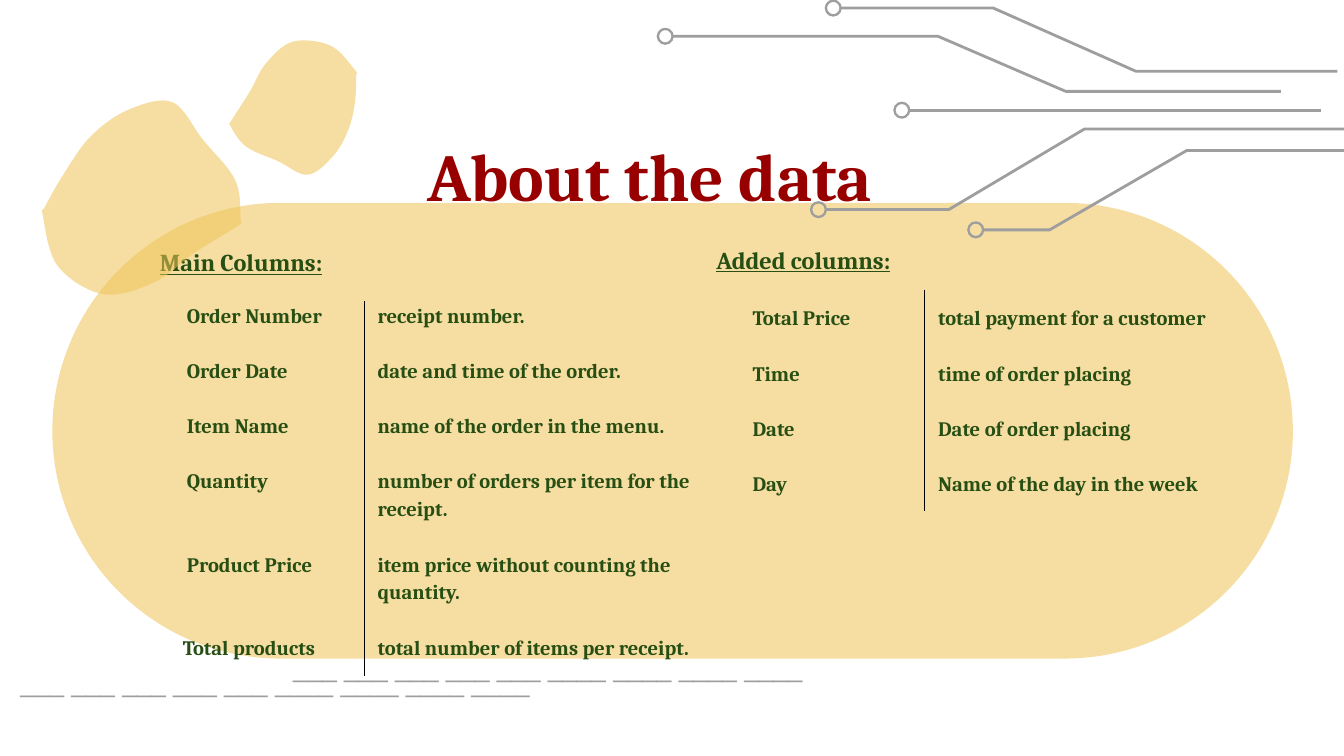
import pptx
import pptx.util
import pptx.dml.color
import pptx.enum.shapes
import pptx.enum.text
import pptx.oxml
import pptx.oxml.ns
from lxml import etree

Inches, Pt = pptx.util.Inches, pptx.util.Pt
ALIGN = pptx.enum.text.PP_ALIGN
ANCHOR = pptx.enum.text.MSO_ANCHOR
SHAPE = pptx.enum.shapes.MSO_SHAPE

COLORS = {"title": "980000", "text": "274E13", "sand": "F0C458",
          "circuit": "9E9E9E", "divider": "000000"}
PLAIN_TABLE_STYLE = "{2D5ABB26-0587-4C30-8999-92F81FD0307C}"
HEADING = {"size": Pt(13), "bold": True, "underline": True, "name": "Cambria"}
BODY = {"size": Pt(11), "bold": True, "name": "Cambria"}

# Content: text boxes as (text, position, font, colour, alignment, anchor)
DASHES = " ___ ___ ___ ___ ___ ____ ____ ____ ____"
DASH_FONT = {"size": Pt(14), "name": "Arial"}
TITLE = ("About the data", (1.43, 0.89, 6.81, 0.81),
         {"size": Pt(36), "bold": True, "name": "Cambria"},
         "title", ALIGN.CENTER, ANCHOR.BOTTOM)
DASH_LINES = [
    (DASHES, (2.03, 4.75, 5.6, 0.44), DASH_FONT, "circuit", ALIGN.LEFT, ANCHOR.TOP),
    (DASHES, (0, 4.86, 5.6, 0.44), DASH_FONT, "circuit", ALIGN.LEFT, ANCHOR.TOP),
]

# Content: the two column lists, rows as (label, meaning, label indent)
TABLES = [
    {"heading": "Main Columns:", "at": (1.09, 1.83), "columns": (1.62, 2.86),
     "heights": (0.41, 0.19, 0.26, 0.26, 0.41, 0.41, 0.39),
     "tight_rows": (0, 1),
     "heading_align": ALIGN.JUSTIFY, "label_align": ALIGN.LEFT,
     "rows": [("Order Number", "receipt number.", 0.3),
              ("Order Date", "date and time of the order.", 0.3),
              ("Item Name", "name of the order in the menu.", 0.3),
              ("Quantity", "number of orders per item for the receipt.", 0.3),
              ("Product Price", "item price without counting the quantity.", 0.3),
              ("Total products", "total number of items per receipt.", 0.27)]},
    {"heading": "Added columns:", "at": (5.23, 1.71), "columns": (1.65, 3.43),
     "heights": (0.28, 0.37, 0.39, 0.38, 0.38),
     "tight_rows": (),
     "heading_align": ALIGN.LEFT, "label_align": ALIGN.JUSTIFY,
     "rows": [("Total Price", "total payment for a customer", 0.37),
              ("Time", "time of order placing", 0.37),
              ("Date", "Date of order placing", 0.37),
              ("Day", "Name of the day in the week", 0.37)]},
]

# Circuit traces: the first point is the centre of the ring
TRACES = [
    [(6.09, 1.56), (7.06, 1.56), (8.07, 0.96), (10, 0.96)],
    [(7.26, 1.71), (7.81, 1.71), (8.83, 1.12), (10, 1.12)],
    [(6.71, 0.82), (9.83, 0.82)],
    [(4.95, 0.27), (6.98, 0.27), (7.93, 0.68), (9.53, 0.68)],
    [(6.2, 0.06), (7.39, 0.06), (8.45, 0.53), (9.95, 0.53)],
]
RING = 0.11

# Points around each smooth blob
BLOBS = [
    [(0.34, 1.53), (0.32, 1.61), (0.43, 1.98), (0.77, 2.19), (1.15, 2.1),
     (1.45, 1.88), (1.77, 1.68), (1.79, 1.63), (1.75, 1.34), (1.51, 1.04),
     (1.28, 0.76), (0.95, 0.82), (0.68, 1.01), (0.49, 1.27)],
    [(2.65, 0.57), (2.64, 0.52), (2.46, 0.34), (2.18, 0.31), (1.98, 0.47),
     (1.86, 0.68), (1.72, 0.9), (1.71, 0.93), (1.83, 1.09), (2.07, 1.2),
     (2.29, 1.3), (2.48, 1.16), (2.59, 0.97), (2.64, 0.77)],
]


def rgb(name):
    return pptx.dml.color.RGBColor.from_string(COLORS[name])


def fill_sand(shape):
    shape.shadow.inherit = False
    shape.fill.solid()
    shape.fill.fore_color.rgb = rgb("sand")
    color = shape._element.spPr.find(".//" + pptx.oxml.ns.qn("a:srgbClr"))
    etree.SubElement(color, pptx.oxml.ns.qn("a:alpha"), val="55000")
    shape.line.fill.background()


def stroke(shape, width):
    shape.line.color.rgb = rgb("circuit")
    shape.line.width = Pt(width)


def write(frame, text, font, color, align):
    paragraph = frame.paragraphs[0]
    paragraph.alignment = align
    run = paragraph.add_run()
    run.text = text
    for name, value in font.items():
        setattr(run.font, name, value)
    run.font.color.rgb = rgb(color)
    return paragraph


def add_text(slide, text, position, font, color, align, anchor):
    frame = slide.shapes.add_textbox(*map(Inches, position)).text_frame
    frame.word_wrap = True
    frame.vertical_anchor = anchor
    for side in ("left", "right", "top", "bottom"):
        setattr(frame, "margin_" + side, Inches(0.1))
    write(frame, text, font, color, align)


def add_divider(cell, side):
    cell._tc.get_or_add_tcPr().insert(0, pptx.oxml.parse_xml(
        f'<a:{side} {pptx.oxml.ns.nsdecls("a")} w="9525"><a:solidFill>'
        f'<a:srgbClr val="{COLORS["divider"]}"/></a:solidFill></a:{side}>'))


def fill_cell(cell, text, font, align, indent=0.1, top=0.1):
    cell.fill.background()
    margins = {"left": indent, "right": 0.1, "top": top, "bottom": 0.1}
    for side, value in margins.items():
        setattr(cell, "margin_" + side, Inches(value))
    paragraph = write(cell.text_frame, text, font, "text", align)
    spacing = {"line_spacing": 1.15, "space_before": Pt(12), "space_after": Pt(12)}
    for name, value in spacing.items():
        setattr(paragraph, name, value)


def add_column_list(slide, content):
    size = (sum(content["columns"]), sum(content["heights"]))
    table = slide.shapes.add_table(len(content["heights"]), 2,
                                   *map(Inches, content["at"] + size)).table
    table.first_row = table.horz_banding = False
    table._tbl.tblPr.find(pptx.oxml.ns.qn("a:tableStyleId")).text = PLAIN_TABLE_STYLE
    for column, width in zip(table.columns, content["columns"]):
        column.width = Inches(width)
    for row, height in zip(table.rows, content["heights"]):
        row.height = Inches(height)
    tops = [0 if i in content["tight_rows"] else 0.1 for i in range(len(table.rows))]
    table.cell(0, 0).merge(table.cell(0, 1))
    fill_cell(table.cell(0, 0), content["heading"], HEADING,
              content["heading_align"], top=tops[0])
    for i, (label, meaning, indent) in enumerate(content["rows"], start=1):
        left, right = table.cell(i, 0), table.cell(i, 1)
        fill_cell(left, label, BODY, content["label_align"], indent, tops[i])
        fill_cell(right, meaning, BODY, ALIGN.LEFT, top=tops[i])
        add_divider(left, "lnR")
        add_divider(right, "lnL")


def add_freeform(slide, points, close):
    start, *rest = [(Inches(x), Inches(y)) for x, y in points]
    builder = slide.shapes.build_freeform(*start)
    builder.add_line_segments(rest, close=close)
    shape = builder.convert_to_shape()
    shape.shadow.inherit = False
    return shape


def add_trace(slide, points):
    (x, y), *rest = points
    start = (x + RING / 2, y)
    if len(rest) == 1:
        trace = slide.shapes.add_connector(
            pptx.enum.shapes.MSO_CONNECTOR.STRAIGHT, *map(Inches, start + rest[0]))
        etree.SubElement(trace._element.spPr, pptx.oxml.ns.qn("a:effectLst"))
    else:
        trace = add_freeform(slide, [start] + rest, close=False)
        trace.fill.background()
    stroke(trace, 1.5)
    ring = slide.shapes.add_shape(SHAPE.OVAL, *map(
        Inches, (x - RING / 2, y - RING / 2, RING, RING)))
    ring.shadow.inherit = False
    ring.fill.background()
    stroke(ring, 1.25)


def smooth(points, steps=10):
    """Closed Catmull-Rom curve through the points."""
    curve = []
    for i in range(len(points)):
        around = [points[(i + k) % len(points)] for k in (-1, 0, 1, 2)]
        for t in (step / steps for step in range(steps)):
            curve.append(tuple(
                (2 * b + (c - a) * t + (2 * a - 5 * b + 4 * c - d) * t ** 2
                 + (3 * b - a - 3 * c + d) * t ** 3) / 2
                for a, b, c, d in zip(*around)))
    return curve


def main():
    presentation = pptx.Presentation()
    presentation.slide_width = Inches(10)
    presentation.slide_height = Inches(10 * 9 / 16)
    slide = presentation.slides.add_slide(presentation.slide_layouts[6])

    # Title and panel
    add_text(slide, *TITLE)
    panel = slide.shapes.add_shape(SHAPE.ROUNDED_RECTANGLE,
                                   *map(Inches, (0.39, 1.51, 9.23, 3.39)))
    panel.adjustments[0] = 0.5
    fill_sand(panel)

    # Column lists
    for content in TABLES:
        add_column_list(slide, content)

    # Decoration
    for points in TRACES:
        add_trace(slide, points)
    for points in BLOBS:
        fill_sand(add_freeform(slide, smooth(points), close=True))
    for line in DASH_LINES:
        add_text(slide, *line)

    presentation.save("out.pptx")


if __name__ == "__main__":
    main()
